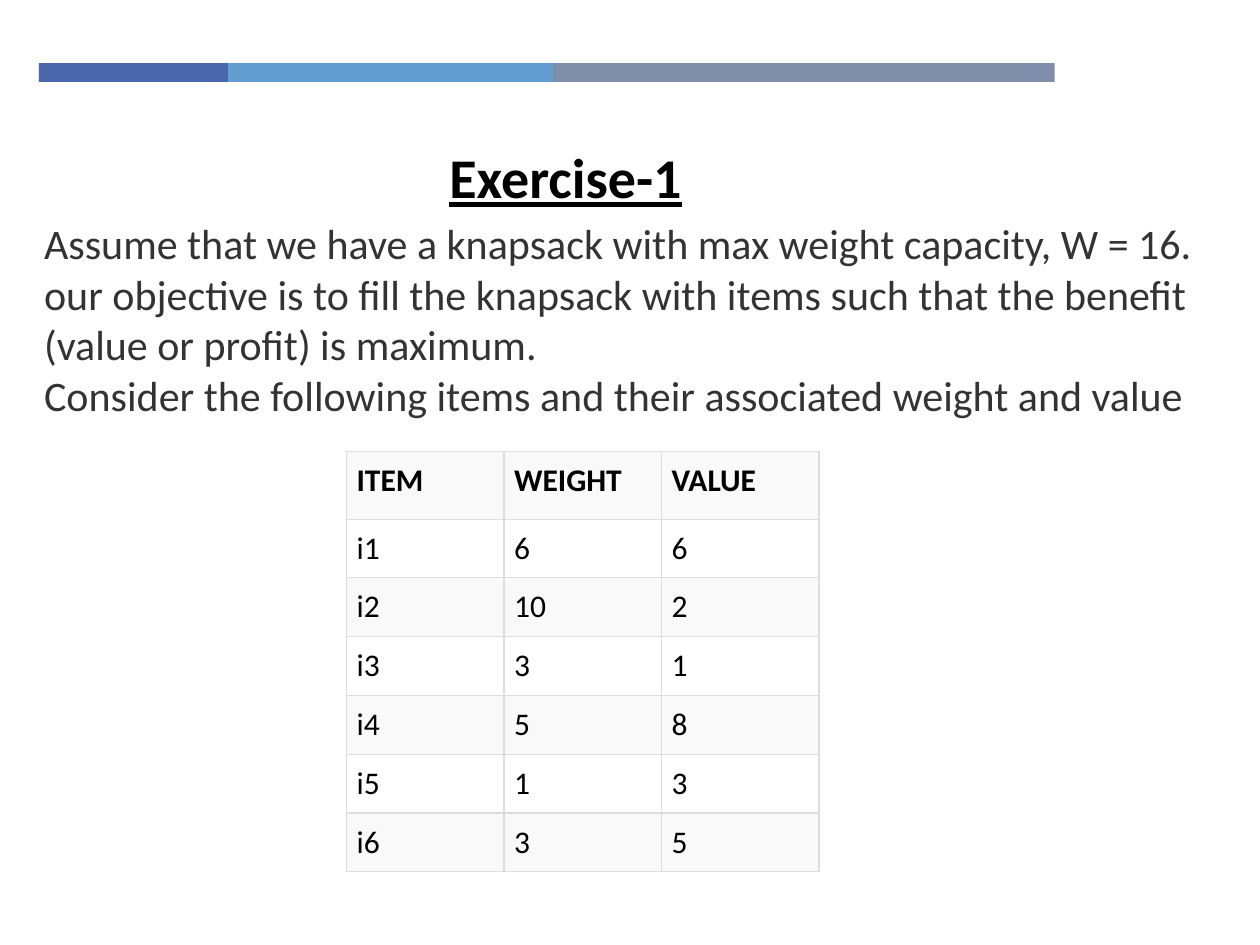
from dataclasses import dataclass
from itertools import accumulate
from lxml.etree import SubElement as Sub
from pptx import Presentation as Deck
from pptx.dml.color import RGBColor as Rgb
from pptx.enum.shapes import MSO_SHAPE as Form
from pptx.enum.text import MSO_ANCHOR as Anchor, MSO_AUTO_SIZE as Fit, PP_ALIGN as Align
from pptx.oxml.ns import qn
from pptx.util import Inches, Pt

COLS, ROWS = 100, 75


@dataclass(frozen=True)
class Theme:
    """Colours, type sizes and font of the slide."""
    face: str = "Calibri"
    bars: tuple = ("4A66AC", "629DD1", "7F8FA9")
    ink: str = "000000"
    soft: str = "333333"
    edge: str = "DDDDDD"
    fills: tuple = ("F9F9F9", "FFFFFF")
    head: int = 32
    body: int = 24
    cell: int = 18


THEME = Theme()
LINES = (
    "Assume that we have a knapsack with max weight capacity, W = 16.",
    "our objective is to fill the knapsack with items such that the benefit "
    "(value or profit) is maximum.",
    "Consider the following items and their associated weight and value",
)
ITEMS = (
    ("ITEM", "WEIGHT", "VALUE"),
    ("i1", 6, 6), ("i2", 10, 2), ("i3", 3, 1),
    ("i4", 5, 8), ("i5", 1, 3), ("i6", 3, 5),
)


def grid(deck, box):
    """Turn columns and rows into slide lengths."""
    x, y, w, h = box
    col, row = deck.slide_width / COLS, deck.slide_height / ROWS
    return int(x * col), int(y * row), int(w * col), int(h * row)


def place(shape, box):
    """Move a shape into a box."""
    shape.left, shape.top, shape.width, shape.height = box


def style(para, size, color, bold=False):
    """Set the font of a paragraph."""
    font = para.font
    font.name, font.size, font.bold = THEME.face, Pt(size), bold
    font.color.rgb = Rgb.from_string(color)


def add_bars(slide, box, parts):
    """Draw a strip split into coloured parts."""
    x, y, w, h = box
    unit = w / sum(parts)
    starts = accumulate(parts, initial=0)
    for start, part, color in zip(starts, parts, THEME.bars):
        bar = slide.shapes.add_shape(
            Form.RECTANGLE, int(x + start * unit), y, int(part * unit), h)
        bar.shadow.inherit = False
        bar.fill.solid()
        bar.fill.fore_color.rgb = Rgb.from_string(color)
        bar.line.fill.background()


def add_title(slide, box, text):
    """Fill the title placeholder."""
    title = slide.shapes.title
    place(title, box)
    frame = title.text_frame
    frame.text = text
    frame.word_wrap, frame.auto_size = False, Fit.NONE
    frame.vertical_anchor = Anchor.MIDDLE
    para = frame.paragraphs[0]
    para.alignment = Align.CENTER
    style(para, THEME.head, THEME.ink, True)
    para.font.underline = True


def add_body(slide, box, lines):
    """Fill the body placeholder with plain paragraphs."""
    body = slide.placeholders[1]
    place(body, box)
    frame = body.text_frame
    frame.text = "\n".join(lines)
    frame.word_wrap, frame.auto_size = True, Fit.NONE
    frame.vertical_anchor = Anchor.TOP
    for para in frame.paragraphs:
        para.space_before = Pt(0)
        props = para._p.get_or_add_pPr()
        props.set("marL", "0")
        props.set("indent", "0")
        Sub(props, qn("a:buNone"))
        style(para, THEME.body, THEME.soft)


def add_edges(cell):
    """Rule all four sides of a cell."""
    props = cell._tc.get_or_add_tcPr()
    for at, side in enumerate(("lnL", "lnR", "lnT", "lnB")):
        line = props.makeelement(qn(f"a:{side}"), {"w": str(Pt(0.75))})
        fill = Sub(line, qn("a:solidFill"))
        Sub(fill, qn("a:srgbClr"), val=THEME.edge)
        props.insert(at, line)


def add_items(slide, box, rows, top):
    """Build the item table with a taller first row."""
    table = slide.shapes.add_table(len(rows), len(rows[0]), *box).table
    rest = (box[3] - top) // (len(rows) - 1)
    for r, row in enumerate(rows):
        table.rows[r].height = rest if r else top
        for c, value in enumerate(row):
            cell = table.cell(r, c)
            cell.text = str(value)
            cell.margin_left = cell.margin_right = Inches(0.08)
            cell.margin_top = cell.margin_bottom = Inches(0.08)
            cell.fill.solid()
            cell.fill.fore_color.rgb = Rgb.from_string(THEME.fills[r % 2])
            add_edges(cell)
            style(cell.text_frame.paragraphs[0], THEME.cell, THEME.ink, r == 0)


def main():
    """Build and save the slide."""
    deck = Deck()
    deck.slide_width, deck.slide_height = Inches(10), Inches(7.5)
    slide = deck.slides.add_slide(deck.slide_layouts[1])
    add_bars(slide, grid(deck, (3.1, 5, 80.6, 1.5)), (15, 25.8, 39.8))
    add_title(slide, grid(deck, (34.6, 10.8, 20.6, 6.4)), "Exercise-1")
    add_body(slide, grid(deck, (2.5, 16.8, 94.4, 17)), LINES)
    add_items(slide, grid(deck, (27.5, 35.8, 37.5, 33.4)), ITEMS, Inches(0.54))
    deck.save("out.pptx")


if __name__ == "__main__":
    main()
